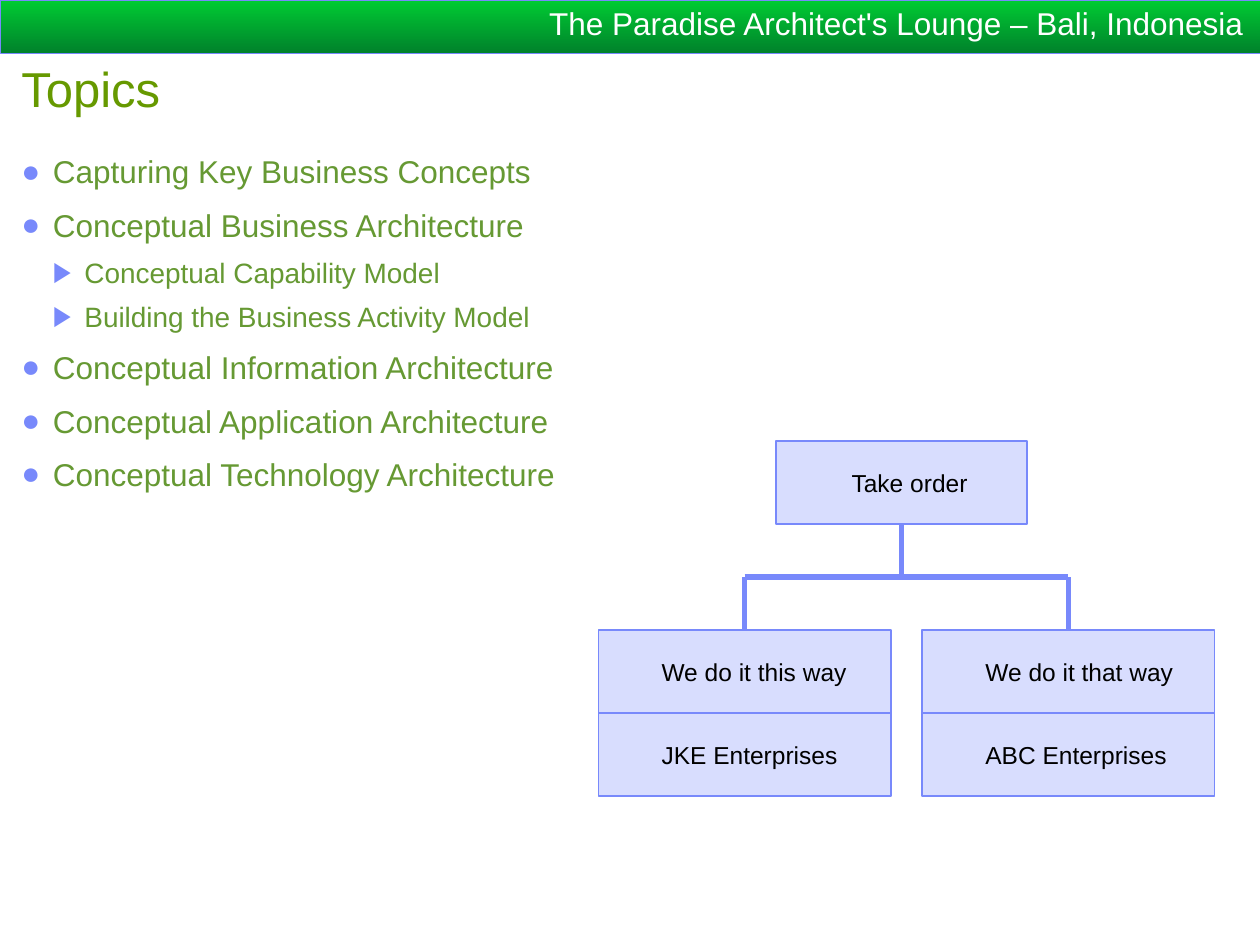
from dataclasses import dataclass

from lxml.etree import SubElement
from pptx import Presentation
from pptx.dml.color import RGBColor as RGB
from pptx.enum.shapes import MSO_CONNECTOR as Connector, MSO_SHAPE as Shape
from pptx.enum.text import MSO_ANCHOR as Anchor, MSO_AUTO_SIZE as AutoSize, PP_ALIGN as Align
from pptx.oxml.ns import qn
from pptx.util import Inches, Pt


@dataclass(frozen=True)
class Theme:
    font: str = "Arial"
    accent: RGB = RGB(0x78, 0x89, 0xFB)
    box_fill: RGB = RGB(0xD8, 0xDD, 0xFE)
    header_top: RGB = RGB(0x00, 0xCC, 0x33)
    header_bottom: RGB = RGB(0x00, 0x82, 0x2B)
    header_text: RGB = RGB(0xFF, 0xFF, 0xFF)
    title: RGB = RGB(0x66, 0x99, 0x00)
    body: RGB = RGB(0x66, 0x99, 0x33)
    box_text: RGB = RGB(0x00, 0x00, 0x00)
    title_size: int = 28
    header_size: int = 18
    topic_size: int = 18
    subtopic_size: int = 16
    box_size: int = 14


@dataclass(frozen=True)
class TopicLevel:
    indent: float
    bullet: str
    size: int
    before: float
    after: float


THEME = Theme()
LEVELS = (
    TopicLevel(0.25, "●", THEME.topic_size, 5.6, 3.4),
    TopicLevel(0.5, "▶", THEME.subtopic_size, 3, 3),
)
TOPICS = (
    (0, "Capturing Key Business Concepts"),
    (0, "Conceptual Business Architecture"),
    (1, "Conceptual Capability Model"),
    (1, "Building the Business Activity Model"),
    (0, "Conceptual Information Architecture"),
    (0, "Conceptual Application Architecture"),
    (0, "Conceptual Technology Architecture"),
)
VARIANTS = (
    ("We do it this way", "JKE Enterprises"),
    ("We do it that way", "ABC Enterprises"),
)


def place(shape, left, top, width, height):
    shape.left, shape.top = Inches(left), Inches(top)
    shape.width, shape.height = Inches(width), Inches(height)


def set_margins(frame, left, top, right, bottom):
    frame.margin_left, frame.margin_top = Inches(left), Inches(top)
    frame.margin_right, frame.margin_bottom = Inches(right), Inches(bottom)


def add_run(paragraph, text, size, color):
    run = paragraph.add_run()
    run.text = text
    run.font.name = THEME.font
    run.font.size = Pt(size)
    run.font.color.rgb = color


def set_indent(paragraph, left, first=0):
    properties = paragraph._p.get_or_add_pPr()
    properties.set("marL", str(Inches(left)))
    properties.set("indent", str(Inches(first)))
    return properties


def add_bullet(paragraph, level):
    properties = set_indent(paragraph, level.indent, -0.25)
    color = SubElement(properties, qn("a:buClr"))
    SubElement(color, qn("a:srgbClr"), val=str(THEME.accent))
    SubElement(properties, qn("a:buChar"), char=level.bullet)


def add_header(slide, left, top, width, height):
    band = slide.shapes.add_shape(
        Shape.RECTANGLE, Inches(left), Inches(top), Inches(width), Inches(height))
    band.shadow.inherit = False
    band.fill.gradient()
    band.fill.gradient_angle = 270
    for stop, color in zip(band.fill.gradient_stops, (THEME.header_top, THEME.header_bottom)):
        stop.color.rgb = color
    band.line.color.rgb = THEME.accent
    band.line.width = Pt(0.25)

    label_width = 5.72
    label = slide.shapes.add_textbox(
        Inches(left + width - label_width - 0.02), Inches(top), Inches(label_width), Inches(0.39))
    label.text_frame.word_wrap = False
    paragraph = label.text_frame.paragraphs[0]
    paragraph.line_spacing = 0.97
    add_run(paragraph, "The Paradise Architect's Lounge – Bali, Indonesia",
            THEME.header_size, THEME.header_text)


def fill_title(slide, left, top, width, height):
    title = slide.shapes.title
    place(title, left, top, width, height)
    frame = title.text_frame
    frame.auto_size = AutoSize.NONE
    frame.vertical_anchor = Anchor.TOP
    set_margins(frame, 0, 0, 0, 0)
    paragraph = frame.paragraphs[0]
    paragraph.alignment = Align.LEFT
    paragraph.line_spacing = 0.95
    add_run(paragraph, "Topics", THEME.title_size, THEME.title)


def fill_topics(slide, left, top, width, height):
    body = slide.placeholders[1]
    place(body, left, top, width, height)
    frame = body.text_frame
    frame.auto_size = AutoSize.NONE
    frame.vertical_anchor = Anchor.TOP
    set_margins(frame, 0, 0.05, 0, 0.05)
    for index, (depth, text) in enumerate(TOPICS):
        level = LEVELS[depth]
        paragraph = frame.add_paragraph() if index else frame.paragraphs[0]
        paragraph.level = depth
        add_bullet(paragraph, level)
        paragraph.line_spacing = 1.0 if index else 0.97
        paragraph.space_before = Pt(level.before if index else 0)
        paragraph.space_after = Pt(level.after)
        add_run(paragraph, text, level.size, THEME.body)


def add_box(shapes, text, left, top, width, height, inset=(0, 0.05, 0.06, 0.05)):
    box = shapes.add_shape(
        Shape.RECTANGLE, Inches(left), Inches(top), Inches(width), Inches(height))
    box.shadow.inherit = False
    box.fill.solid()
    box.fill.fore_color.rgb = THEME.box_fill
    box.line.color.rgb = THEME.accent
    box.line.width = Pt(1)
    frame = box.text_frame
    frame.word_wrap = True
    frame.vertical_anchor = Anchor.MIDDLE
    set_margins(frame, *inset)
    paragraph = frame.paragraphs[0]
    paragraph.alignment = Align.LEFT
    set_indent(paragraph, 0.5)
    add_run(paragraph, text, THEME.box_size, THEME.box_text)


def add_line(shapes, start, end):
    line = shapes.add_connector(Connector.STRAIGHT, *map(Inches, start + end))
    line.line.color.rgb = THEME.accent
    line.line.width = Pt(3)
    SubElement(line._element.spPr, qn("a:effectLst"))


def add_variant_tree(slide, left, top, width, height):
    """One activity on top, branching to a stacked pair of boxes per variant."""
    shapes = slide.shapes.add_group_shape().shapes
    row, gap, root_width = 0.66, 0.25, 1.99
    column = (width - gap) / 2
    root_left = left + 1.41
    root_center = root_left + root_width / 2
    root_bottom = top + row
    variants_top = top + height - 2 * row
    branch = (root_bottom + variants_top) / 2
    centers = []

    add_box(shapes, "Take order", root_left, top, root_width, row, (0.1, 0.05, 0.1, 0.05))
    for index, labels in enumerate(VARIANTS):
        column_left = left + index * (column + gap)
        centers.append(column_left + column / 2)
        for step, label in enumerate(labels):
            add_box(shapes, label, column_left, variants_top + step * row, column, row)

    add_line(shapes, (root_center, root_bottom), (root_center, branch))
    add_line(shapes, (centers[0], branch), (centers[-1], branch))
    for center in centers:
        add_line(shapes, (center, branch), (center, variants_top))


def main():
    presentation = Presentation()
    presentation.slide_width, presentation.slide_height = Inches(10), Inches(7.5)
    slide = presentation.slides.add_slide(presentation.slide_layouts[1])
    add_header(slide, 0, 0, 10, 0.42)
    fill_title(slide, 0.17, 0.5, 9.67, 0.6)
    fill_topics(slide, 0.17, 1.17, 9.67, 5.57)
    add_variant_tree(slide, 4.75, 3.5, 4.89, 2.82)
    presentation.save("out.pptx")


if __name__ == "__main__":
    main()
